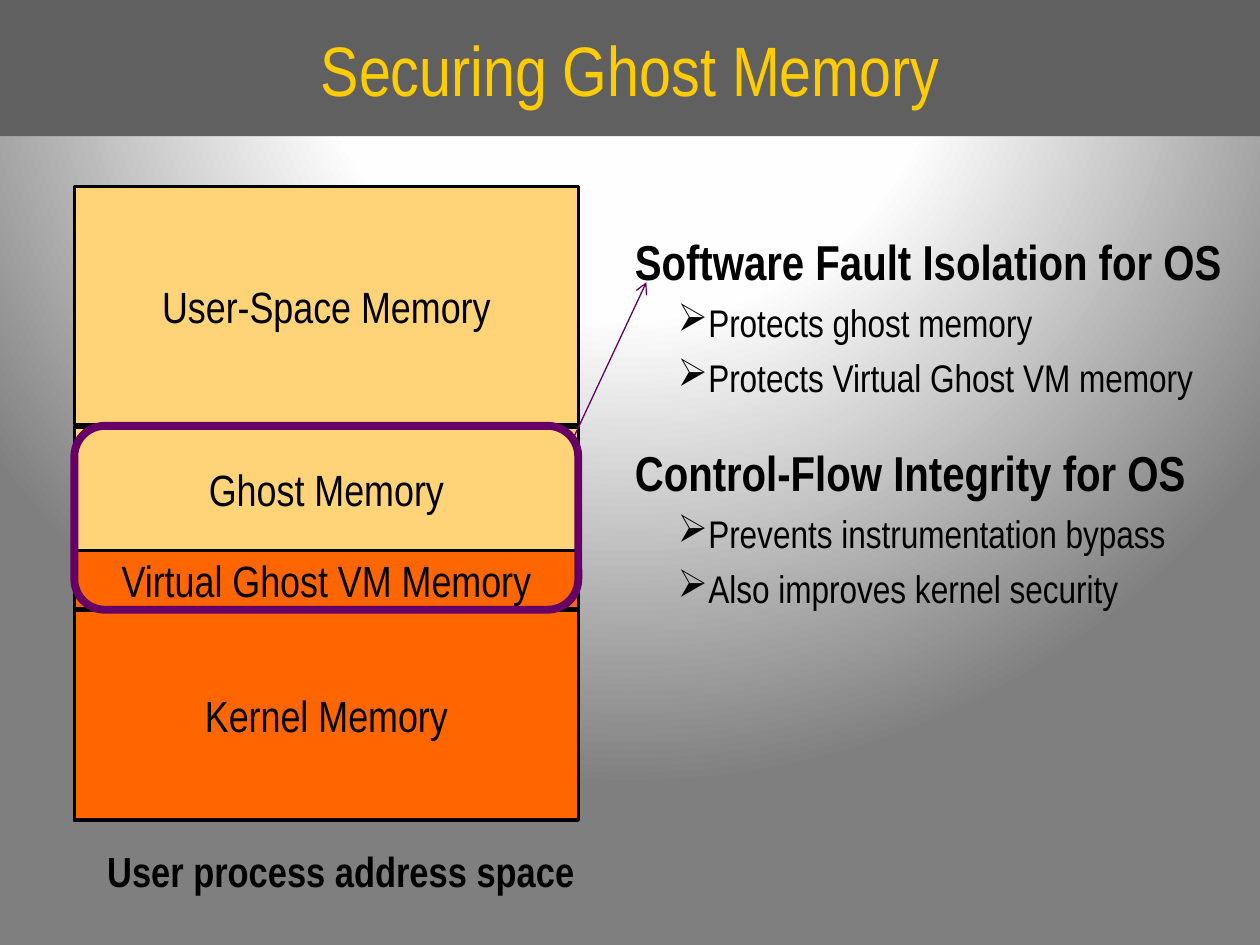
from pptx import Presentation
from pptx.dml.color import RGBColor
from pptx.enum.shapes import MSO_CONNECTOR, MSO_SHAPE
from pptx.enum.text import MSO_ANCHOR, PP_ALIGN
from pptx.oxml import parse_xml
from pptx.oxml.ns import nsdecls, qn
from pptx.util import Inches, Pt

BLACK = RGBColor(0x00, 0x00, 0x00)
BANNER_GRAY = RGBColor(0x60, 0x60, 0x60)
TITLE_GOLD = RGBColor(0xFF, 0xCC, 0x00)
USER_SAND = RGBColor(0xFF, 0xD4, 0x79)
KERNEL_ORANGE = RGBColor(0xFF, 0x66, 0x00)
PURPLE = RGBColor(0x66, 0x00, 0x66)
RECTANGLE, ROUNDED = MSO_SHAPE.RECTANGLE, MSO_SHAPE.ROUNDED_RECTANGLE
STRAIGHT = MSO_CONNECTOR.STRAIGHT
CENTER, MIDDLE = PP_ALIGN.CENTER, MSO_ANCHOR.MIDDLE

BACKGROUND = f"""<a:gradFill {nsdecls('a')} rotWithShape="1">
  <a:gsLst>
    <a:gs pos="0"><a:srgbClr val="FFFFFF"/></a:gs>
    <a:gs pos="40000"><a:srgbClr val="FEFEFE"/></a:gs>
    <a:gs pos="100000"><a:srgbClr val="7F7F7F"/></a:gs>
  </a:gsLst>
  <a:path path="circle"><a:fillToRect l="50000" t="-80000" r="50000" b="180000"/></a:path>
</a:gradFill>"""


def write(paragraph, text, size, color=BLACK, bold=False):
    run = paragraph.add_run()
    run.text = text
    font_format = {"name": "Arial Narrow", "size": Pt(size), "bold": bold}
    for attribute, value in font_format.items():
        setattr(run.font, attribute, value)
    run.font.color.rgb = color


def add_box(kind, left, top, width, height, fill=None, line=None, line_width=2):
    box = slide.shapes.add_shape(kind, Inches(left), Inches(top), Inches(width), Inches(height))
    box.shadow.inherit = False
    if fill is None:
        box.fill.background()
    else:
        box.fill.solid()
        box.fill.fore_color.rgb = fill
    if line is None:
        box.line.fill.background()
    else:
        box.line.color.rgb = line
        box.line.width = Pt(line_width)
    frame = box.text_frame
    frame.margin_left = frame.margin_right = frame.margin_top = frame.margin_bottom = 0
    frame.vertical_anchor = MIDDLE
    frame.paragraphs[0].alignment = CENTER
    return box


presentation = Presentation()
presentation.slide_width, presentation.slide_height = Inches(10), Inches(7.5)
slide = presentation.slides.add_slide(presentation.slide_layouts[6])
slide.background.fill.solid()
background = slide._element.find(".//" + qn("p:bgPr"))
background.replace(background[0], parse_xml(BACKGROUND))

# Title banner
banner = add_box(RECTANGLE, 0, 0, 10, 1.08, BANNER_GRAY)
write(banner.text_frame.paragraphs[0], "Securing Ghost Memory", 40, TITLE_GOLD)

# Defenses and what each one brings
DEFENSES = {
    "Software Fault Isolation for OS": ["Protects ghost memory", "Protects Virtual Ghost VM memory"],
    "Control-Flow Integrity for OS": ["Prevents instrumentation bypass", "Also improves kernel security"],
}
defenses = slide.shapes.add_textbox(Inches(4.94), Inches(1.79), Inches(4.98), Inches(5.05)).text_frame
defenses.word_wrap = True
for index, (defense, benefits) in enumerate(DEFENSES.items()):
    heading = defenses.add_paragraph() if index else defenses.paragraphs[0]
    if index:
        heading.space_before = Pt(24)
    write(heading, defense, 28, bold=True)
    for benefit in benefits:
        item = defenses.add_paragraph()
        item.level = 1
        item.space_before = Pt(5)
        properties = item._p.get_or_add_pPr()
        properties.set("marL", str(Inches(0.55)))
        properties.set("indent", str(Inches(-0.21)))
        properties.append(parse_xml(f'<a:buChar {nsdecls("a")} char="➢"/>'))
        write(item, benefit, 22)

# Address space, with the protected regions outlined
STACK_LEFT, STACK_WIDTH = 0.59, 4
REGIONS = [
    ("Virtual Ghost VM Memory", 4.37, 0.46, KERNEL_ORANGE),
    ("User-Space Memory", 1.48, 1.89, USER_SAND),
    ("Ghost Memory", 3.39, 0.98, USER_SAND),
    ("Kernel Memory", 4.84, 1.67, KERNEL_ORANGE),
]
for name, top, height, fill in REGIONS:
    region = add_box(RECTANGLE, STACK_LEFT, top, STACK_WIDTH, height, fill, BLACK)
    write(region.text_frame.paragraphs[0], name, 25)

caption = slide.shapes.add_textbox(Inches(0.73), Inches(6.66), Inches(3.95), Inches(0.5)).text_frame
caption.word_wrap = False
caption.paragraphs[0].alignment = CENTER
write(caption.paragraphs[0], "User process address space", 24, bold=True)

add_box(ROUNDED, STACK_LEFT, 3.38, STACK_WIDTH, 1.46, line=PURPLE, line_width=4.5)
arrow = slide.shapes.add_connector(STRAIGHT, Inches(4.54), Inches(3.5), Inches(5.13), Inches(2.24))
arrow.line.color.rgb = PURPLE
arrow.line.width = Pt(0.75)
arrow_properties = arrow._element.spPr
arrow_properties.find(qn("a:ln")).append(parse_xml(f'<a:tailEnd {nsdecls("a")} type="arrow"/>'))
arrow_properties.append(parse_xml(f'<a:effectLst {nsdecls("a")}/>'))

presentation.save("out.pptx")
